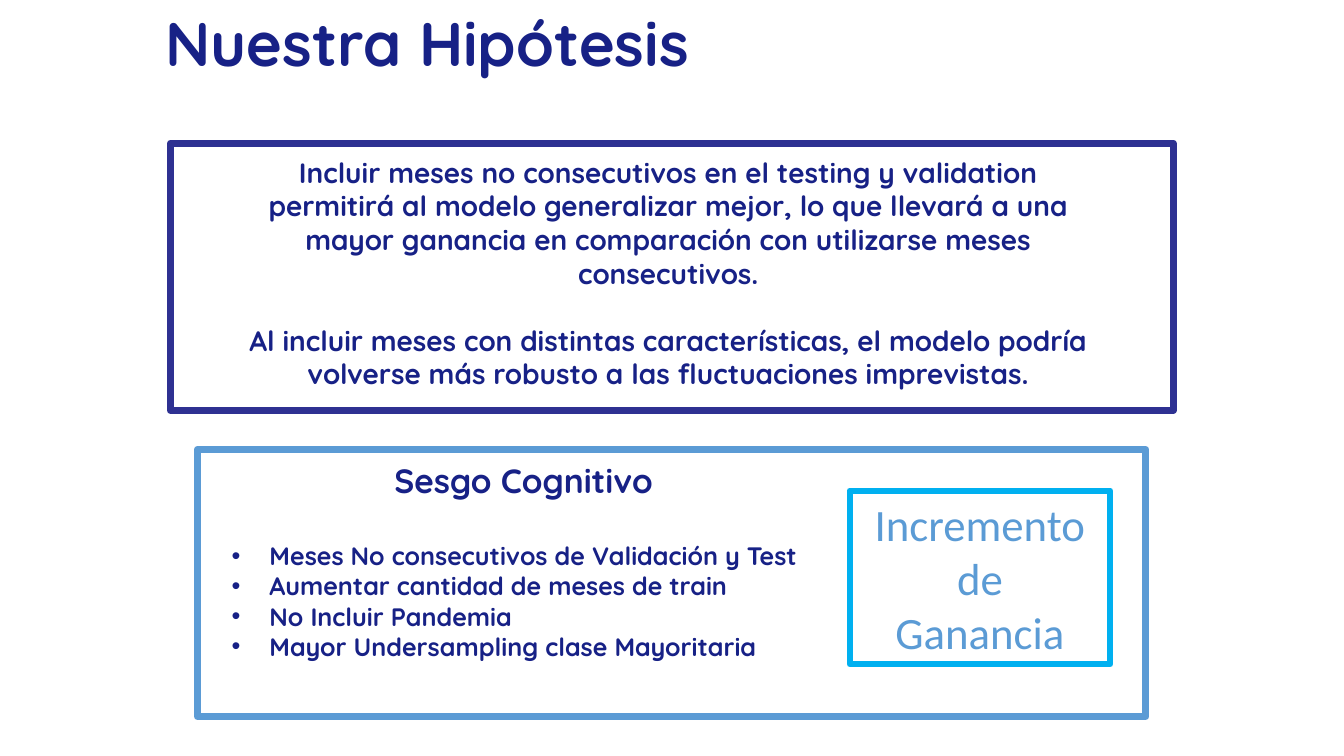
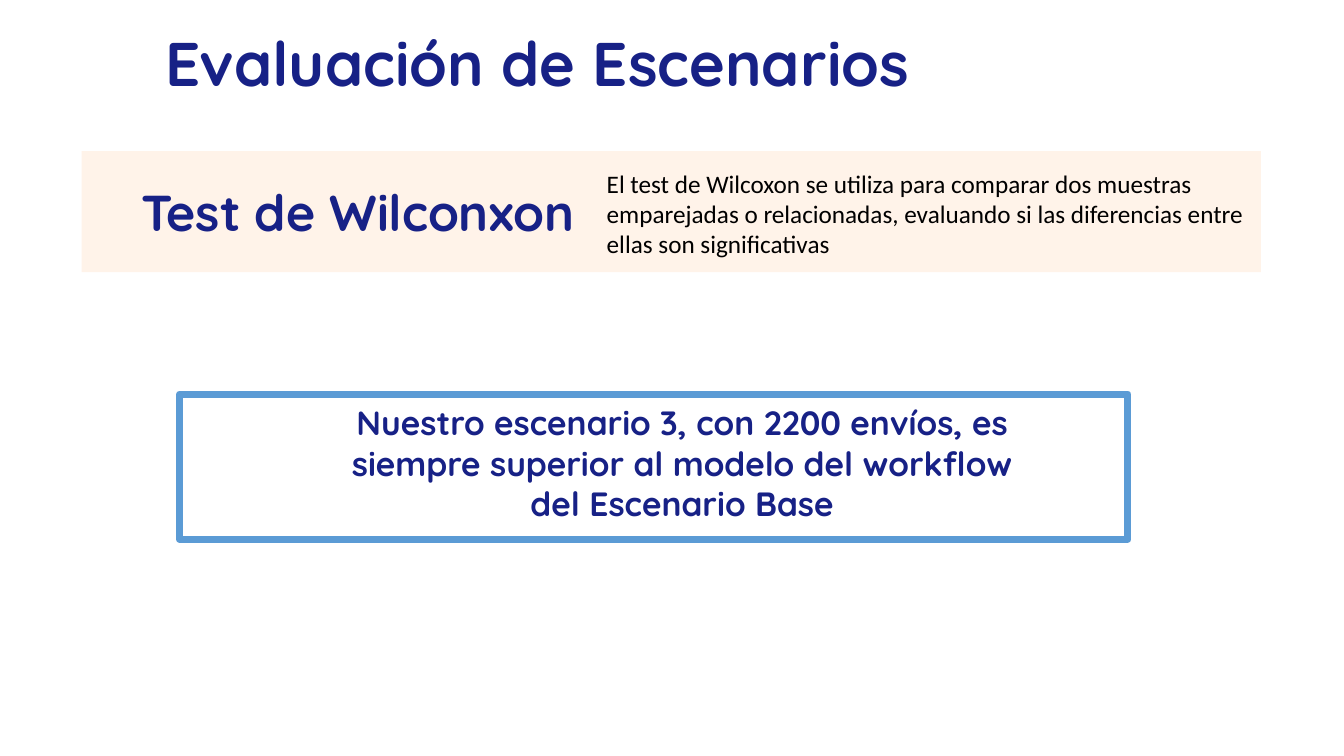
from pptx import Presentation
from pptx.dml.color import RGBColor
from pptx.enum.shapes import MSO_SHAPE
from pptx.enum.text import MSO_ANCHOR, PP_ALIGN
from pptx.oxml.ns import qn
from pptx.util import Pt

RECT = MSO_SHAPE.RECTANGLE
TOP, MIDDLE = MSO_ANCHOR.TOP, MSO_ANCHOR.MIDDLE
LEFT, CENTER = PP_ALIGN.LEFT, PP_ALIGN.CENTER

NAVY, INDIGO, BLUE = "172186", "2E3192", "5B9BD5"
SKY, CREAM, BLACK = "00B0F0", "FFF3E9", "000000"
INSETS = (7.2, 3.6, 7.2, 3.6)

HEADING = {"name": "Quicksand", "bold": True, "color": NAVY}
PLAIN = {"name": "Calibri", "bold": False, "color": BLACK}
TITLE = {**HEADING, "size": 44}


def rgb(value):
    return RGBColor.from_string(value)


def set_frame(tf, insets=INSETS, anchor=TOP):
    tf.word_wrap = True
    tf.vertical_anchor = anchor
    sides = ("left", "top", "right", "bottom")
    for side, inset in zip(sides, insets):
        setattr(tf, f"margin_{side}", Pt(inset))


def write(tf, lines, style, align=LEFT, gap=0):
    """Add one paragraph per line, with gap points between them."""
    added = []
    for text in lines:
        p = tf.paragraphs[0] if not tf.text else tf.add_paragraph()
        p.alignment = align
        p.space_before = Pt(gap if added else 0)
        r = p.add_run()
        r.text = text
        for key, value in style.items():
            if key == "color":
                r.font.color.rgb = rgb(value)
            else:
                setattr(r.font, key, Pt(value) if key == "size" else value)
        added.append(p)
    return added


def add_bullet(p, indent):
    pPr = p._p.get_or_add_pPr()
    pPr.set("marL", str(Pt(indent)))
    pPr.set("indent", str(-Pt(indent)))
    font = pPr.makeelement(qn("a:buFont"), {"typeface": "Arial"})
    char = pPr.makeelement(qn("a:buChar"), {"char": "•"})
    pPr.extend((font, char))


def add_box(s, box, fill=None, line=None, weight=5, **frame):
    sp = s.shapes.add_shape(RECT, *map(Pt, box))
    sp.shadow.inherit = False
    if fill:
        sp.fill.solid()
        sp.fill.fore_color.rgb = rgb(fill)
    else:
        sp.fill.background()
    if line:
        sp.line.color.rgb = rgb(line)
        sp.line.width = Pt(weight)
    else:
        sp.line.fill.background()
    set_frame(sp.text_frame, **frame)
    return sp.text_frame


def add_titled_slide(prs, title, top):
    s = prs.slides.add_slide(prs.slide_layouts[5])
    sp = s.shapes.title
    sp.left, sp.top, sp.width, sp.height = map(Pt, (111, top, 738, 60.5))
    set_frame(sp.text_frame)
    write(sp.text_frame, [title], TITLE)
    return s


def add_statement(s, box, lines, size, line, insets, gap=0):
    tf = add_box(s, box, line=line, insets=insets)
    write(tf, lines, {**HEADING, "size": size}, CENTER, gap)


def add_bias_panel(s, box, heading, bullets, outcome):
    x, y, w, h = box
    tf = add_box(s, box, line=BLUE, insets=(24.5, 7.2, 236, 3.6))
    write(tf, [heading], {**HEADING, "size": 24}, CENTER)
    points = write(tf, bullets, {**HEADING, "size": 18})
    points[0].space_before = Pt(29)
    for p in points:
        add_bullet(p, 27)

    tf = add_box(s, (x + w - 211.5, y + 29.5, 186, 124), line=SKY, weight=4.5,
                 anchor=MIDDLE)
    write(tf, outcome, {**PLAIN, "size": 32, "color": BLUE}, CENTER)


def add_test_band(s, box, name, description):
    x, y, w, h = box
    tf = add_box(s, box, fill=CREAM, insets=(42.5, 3.6, 7.2, 3.6),
                 anchor=MIDDLE)
    write(tf, [name], {**HEADING, "size": 36})
    offset = 368
    sp = s.shapes.add_textbox(Pt(x + offset), Pt(y + 8.5), Pt(480), Pt(73))
    set_frame(sp.text_frame)
    write(sp.text_frame, [description], {**PLAIN, "size": 18})


def build_hypothesis(prs):
    s = add_titled_slide(prs, "Nuestra Hipótesis", 0)
    add_statement(s, (121.7, 102.3, 716.4, 190.8), [
        "Incluir meses no consecutivos en el testing y validation permitirá "
        "al modelo generalizar mejor, lo que llevará a una mayor ganancia en "
        "comparación con utilizarse meses consecutivos.",
        "Al incluir meses con distintas características, el modelo podría "
        "volverse más robusto a las fluctuaciones imprevistas.",
    ], 20, INDIGO, (56, 8.6, 61, 3.6), gap=24)
    add_bias_panel(s, (141, 321, 677.5, 190.8), "Sesgo Cognitivo", [
        "Meses No consecutivos de Validación y Test",
        "Aumentar cantidad de meses de train",
        "No Incluir Pandemia",
        "Mayor Undersampling clase Mayoritaria",
    ], ["Incremento de", "Ganancia"])


def build_evaluation(prs):
    s = add_titled_slide(prs, "Evaluación de Escenarios", 14.4)
    add_test_band(
        s, (58.3, 108, 842.4, 86.4), "Test de Wilconxon",
        "El test de Wilcoxon se utiliza para comparar dos muestras "
        "emparejadas o relacionadas, evaluando si las diferencias entre "
        "ellas son significativas")
    add_statement(s, (128.2, 281.5, 677.5, 103.7), [
        "Nuestro escenario 3, con 2200 envíos, es siempre superior al modelo "
        "del workflow del Escenario Base",
    ], 24, BLUE, (103, 5.8, 62.6, 3.6))


def main():
    prs = Presentation()
    prs.slide_width, prs.slide_height = Pt(960), Pt(540)
    build_hypothesis(prs)
    build_evaluation(prs)
    prs.save("out.pptx")


if __name__ == "__main__":
    main()
